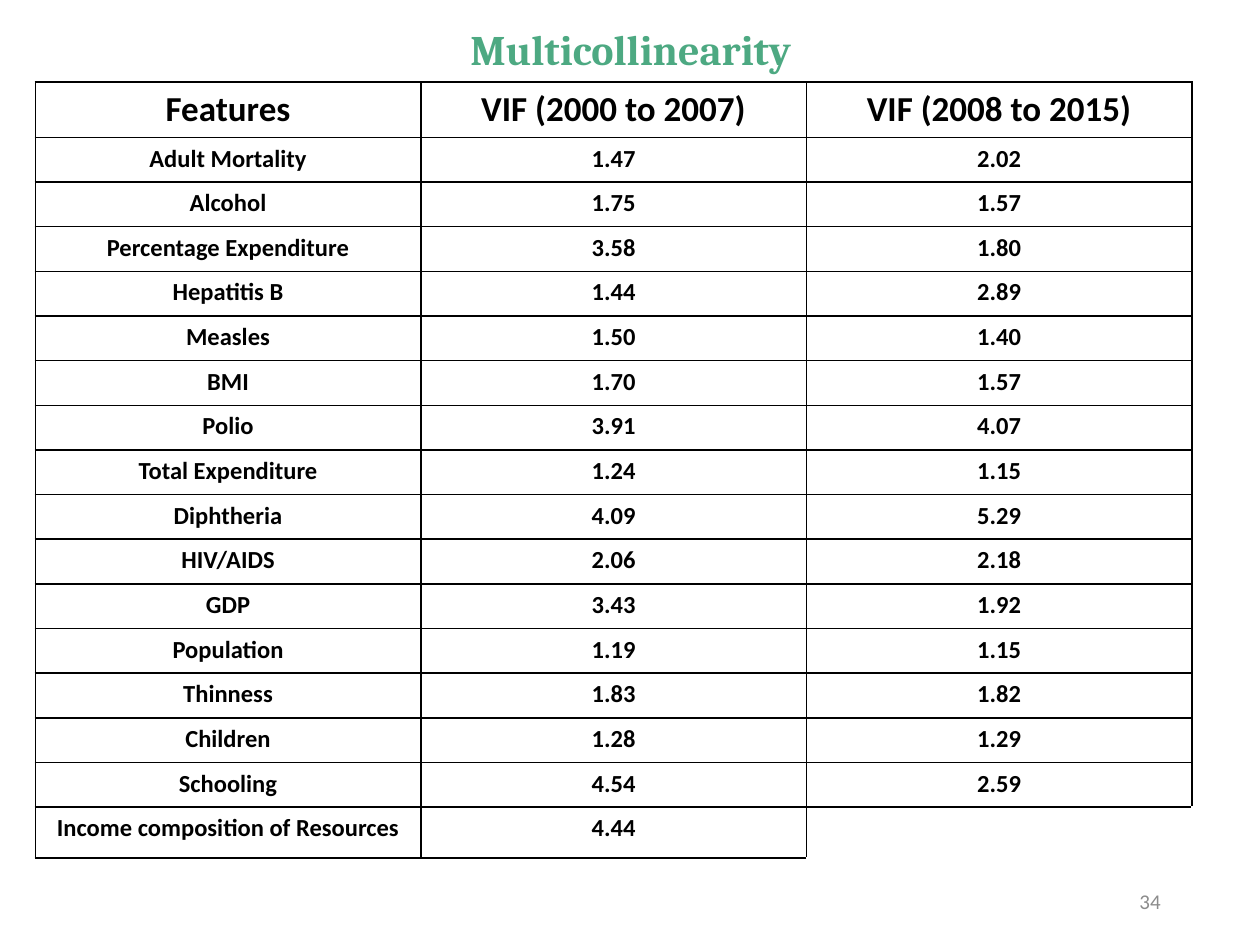
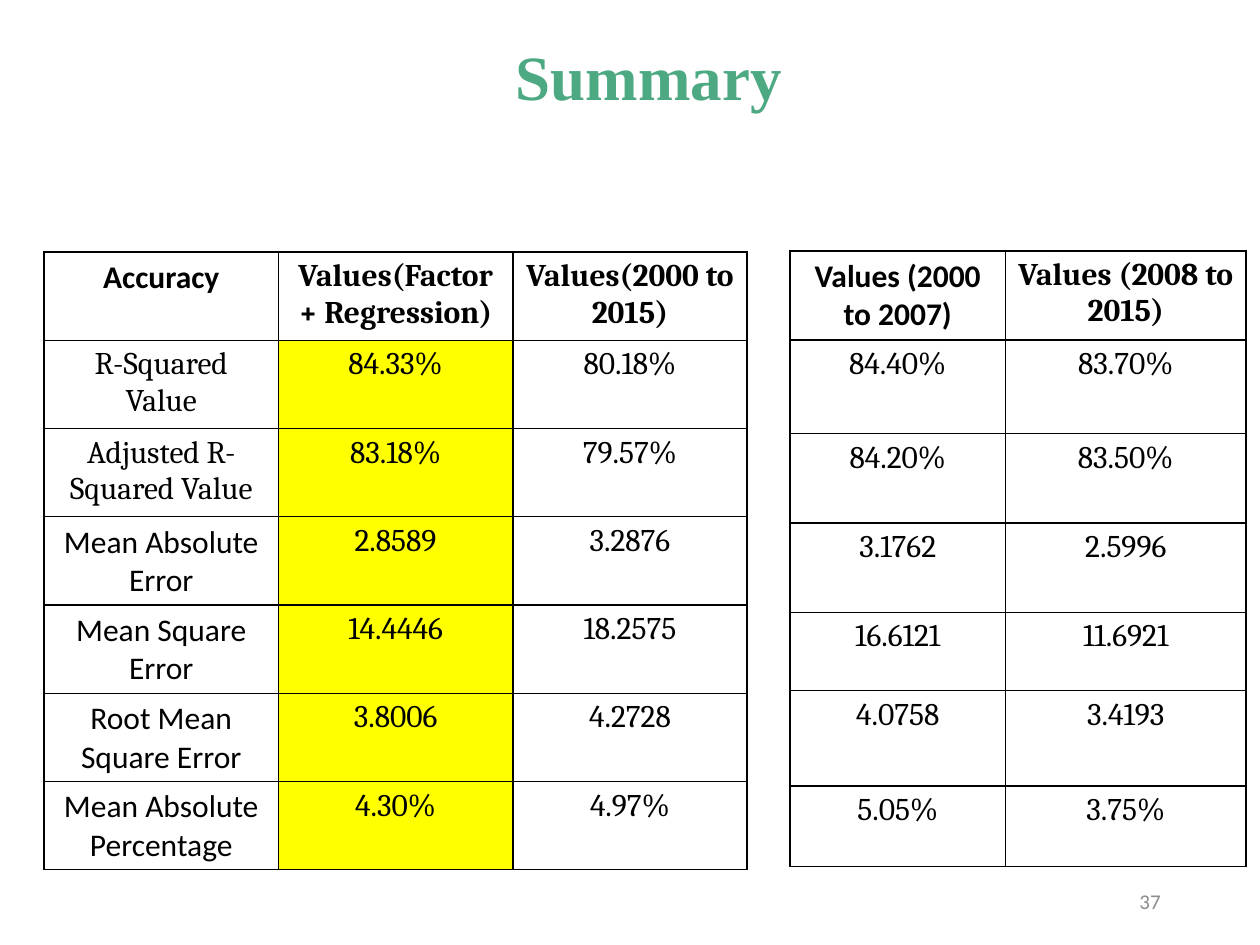
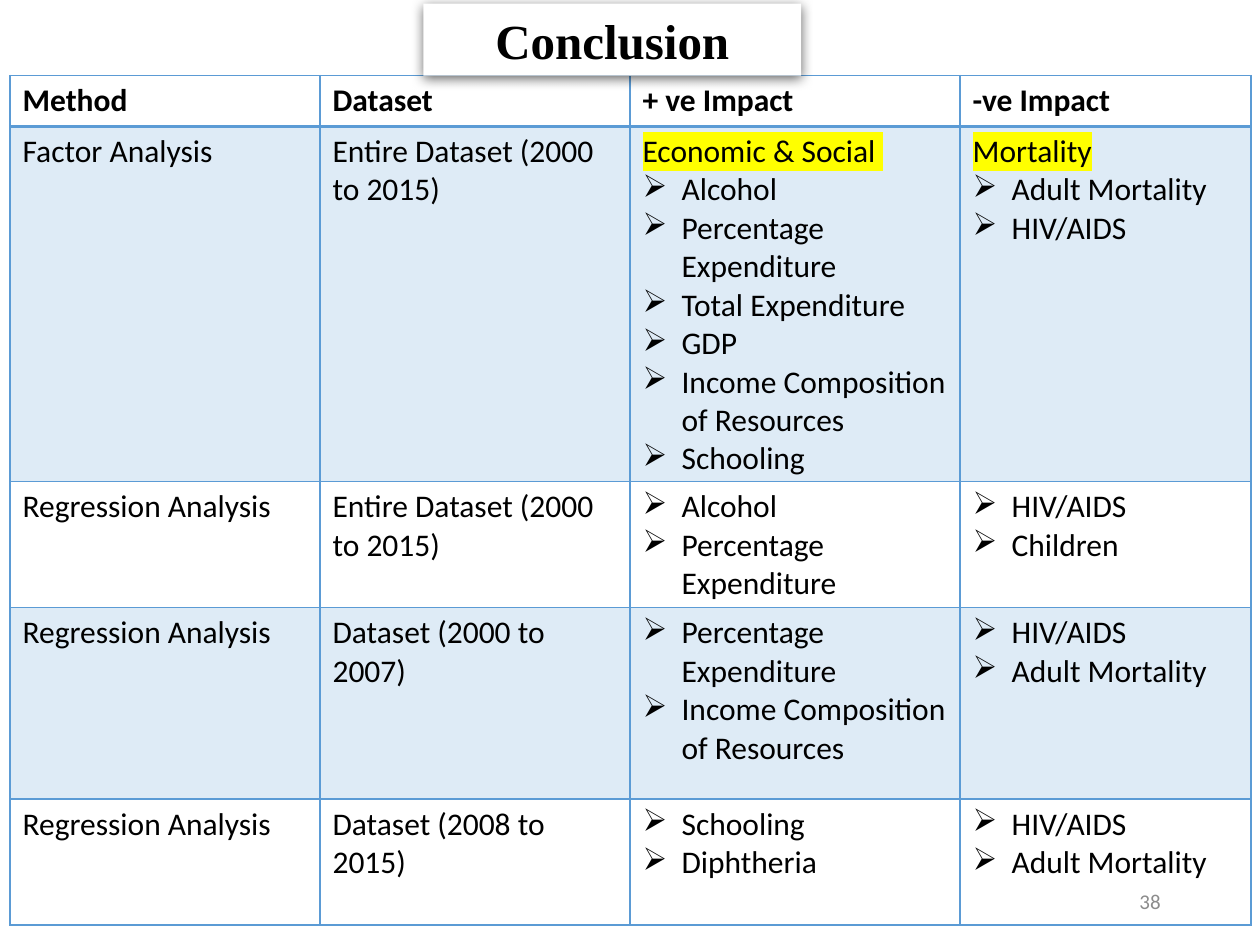
from lxml.etree import SubElement
from pptx import Presentation
from pptx.dml.color import RGBColor
from pptx.enum.shapes import MSO_SHAPE
from pptx.enum.text import MSO_ANCHOR, PP_ALIGN
from pptx.oxml.ns import qn
from pptx.util import Inches, Pt

BLACK = RGBColor(0x00, 0x00, 0x00)
WHITE = RGBColor(0xFF, 0xFF, 0xFF)
GREEN = RGBColor(0x4D, 0xA9, 0x82)
GRAY = RGBColor(0x8C, 0x8C, 0x8C)
BLUE = RGBColor(0x5B, 0x9B, 0xD5)
YELLOW = RGBColor(0xFF, 0xFF, 0x00)

BODY, SERIF, TIMES = "Calibri", "Cambria", "Times New Roman"
MARK = "➢"
PAGE_BOX = (7.06, 6.95, 2.25, 0.4)

# Slide data
VIF = [
    ("Features", "VIF (2000 to 2007)", "VIF (2008 to 2015)"),
    ("Adult Mortality", "1.47", "2.02"),
    ("Alcohol", "1.75", "1.57"),
    ("Percentage Expenditure", "3.58", "1.80"),
    ("Hepatitis B", "1.44", "2.89"),
    ("Measles", "1.50", "1.40"),
    ("BMI", "1.70", "1.57"),
    ("Polio", "3.91", "4.07"),
    ("Total Expenditure", "1.24", "1.15"),
    ("Diphtheria", "4.09", "5.29"),
    ("HIV/AIDS", "2.06", "2.18"),
    ("GDP", "3.43", "1.92"),
    ("Population", "1.19", "1.15"),
    ("Thinness", "1.83", "1.82"),
    ("Children", "1.28", "1.29"),
    ("Schooling", "4.54", "2.59"),
    ("Income composition of Resources", "4.44", ""),
]
SCORES = [
    ("Accuracy", "Values(Factor + Regression)", "Values(2000 to 2015)"),
    ("R-Squared Value", "84.33%", "80.18%"),
    ("Adjusted R-Squared Value", "83.18%", "79.57%"),
    ("Mean Absolute Error", "2.8589", "3.2876"),
    ("Mean Square Error", "14.4446", "18.2575"),
    ("Root Mean Square Error", "3.8006", "4.2728"),
    ("Mean Absolute Percentage", "4.30%", "4.97%"),
]
PERIODS = [
    ("Values (2000 to 2007)", "Values (2008 to 2015)"),
    ("84.40%", "83.70%"),
    ("84.20%", "83.50%"),
    ("3.1762", "2.5996"),
    ("16.6121", "11.6921"),
    ("4.0758", "3.4193"),
    ("5.05%", "3.75%"),
]


def points(*items):
    return [MARK + item for item in items]


IMPACT = [
    ("Method", "Dataset", "+ ve Impact", "-ve Impact"),
    ("Factor Analysis", "Entire Dataset (2000 to 2015)",
     ["Economic & Social "] + points(
         "Alcohol", "Percentage Expenditure", "Total Expenditure", "GDP",
         "Income Composition of Resources", "Schooling"),
     ["Mortality"] + points("Adult Mortality", "HIV/AIDS")),
    ("Regression Analysis", "Entire Dataset (2000 to 2015)",
     points("Alcohol", "Percentage Expenditure"),
     points("HIV/AIDS", "Children")),
    ("Regression Analysis", "Dataset (2000 to 2007)",
     points("Percentage Expenditure", "Income Composition of Resources"),
     points("HIV/AIDS", "Adult Mortality")),
    ("Regression Analysis", "Dataset (2008 to 2015)",
     points("Schooling", "Diphtheria"),
     points("HIV/AIDS", "Adult Mortality")),
]


class Deck:
    def __init__(self):
        self.file = Presentation()
        self.file.slide_width, self.file.slide_height = Inches(10), Inches(7.5)
        self.slide = None

    def page(self, number):
        self.slide = self.file.slides.add_slide(self.file.slide_layouts[6])
        self.number = str(number)

    def footer(self):
        box = self.text(PAGE_BOX, self.number, GRAY, PP_ALIGN.RIGHT,
                        name=BODY, size=Pt(12))
        box.text_frame.vertical_anchor = MSO_ANCHOR.MIDDLE

    def put(self, frame, lines, ink, align, glow=False, **style):
        frame.word_wrap = True
        for i, line in enumerate(lines):
            para = frame.paragraphs[0] if i == 0 else frame.add_paragraph()
            para.alignment = align
            run = para.add_run()
            run.text = line.removeprefix(MARK)
            for key, value in style.items():
                setattr(run.font, key, value)
            run.font.color.rgb = ink
            if line.startswith(MARK):
                self.bullet(para)
            elif glow:
                self.glow(run)

    def bullet(self, para):
        props = para._p.get_or_add_pPr()
        props.set("marL", str(Inches(0.31)))
        props.set("indent", str(-Inches(0.31)))
        SubElement(props, qn("a:buChar"), char=MARK)

    def glow(self, run):
        props = run._r.get_or_add_rPr()
        tint = SubElement(props, qn("a:highlight"))
        SubElement(tint, qn("a:srgbClr"), val=str(YELLOW))
        props.find(qn("a:solidFill")).addnext(tint)

    def text(self, at, words, ink=GREEN, align=PP_ALIGN.CENTER, **style):
        box = self.slide.shapes.add_textbox(*map(Inches, at))
        self.put(box.text_frame, [words], ink, align, **style)
        return box

    def plate(self, at, words, **style):
        box = self.slide.shapes.add_shape(MSO_SHAPE.RECTANGLE,
                                          *map(Inches, at))
        box.fill.solid()
        box.fill.fore_color.rgb = WHITE
        box.line.fill.background()
        box.shadow.inherit = False
        effects = box._element.spPr.find(qn("a:effectLst"))
        shade = SubElement(effects, qn("a:outerShdw"),
                           blurRad=str(Inches(0.1)), dist=str(Inches(0.02)),
                           dir="5400000", algn="ctr", rotWithShape="0")
        color = SubElement(shade, qn("a:srgbClr"), val=str(BLACK))
        SubElement(color, qn("a:alpha"), val="60000")
        self.put(box.text_frame, [words], BLACK, PP_ALIGN.CENTER, **style)

    def edges(self, cell, ink, sides):
        props = cell._tc.get_or_add_tcPr()
        for side, width in sides.items():
            line = SubElement(props, qn("a:ln" + side), w=str(Pt(width)))
            fill = SubElement(line, qn("a:solidFill"))
            SubElement(fill, qn("a:srgbClr"), val=str(ink))

    def paint(self, cell, color, alpha=None):
        cell.fill.solid()
        cell.fill.fore_color.rgb = color
        if alpha:
            tone = cell._tc.tcPr.find(qn("a:solidFill"))[0]
            SubElement(tone, qn("a:alpha"), val=str(alpha * 1000))

    def grid(self, at, cols, rows, data, look, edge=BLACK,
             align=PP_ALIGN.CENTER):
        """look(row, col) gives the font style, fill and border changes."""
        table = self.slide.shapes.add_table(
            len(rows), len(cols), *map(Inches, (*at, sum(cols), sum(rows)))
        ).table
        table.first_row = table.horz_banding = False
        for col, width in zip(table.columns, cols):
            col.width = Inches(width)
        for row, height in zip(table.rows, rows):
            row.height = Inches(height)
        for r, line in enumerate(data):
            for c, words in enumerate(line):
                cell = table.cell(r, c)
                style, fill, sides = look(r, c)
                self.edges(cell, edge, sides)
                self.paint(cell, *fill)
                if words:
                    lines = [words] if isinstance(words, str) else words
                    glow = len(lines) > 1 and not lines[0].startswith(MARK)
                    self.put(cell.text_frame, lines, BLACK, align,
                             glow, **style)


THIN = dict(L=1, R=1, T=1, B=1)


def vif_look(r, c):
    style = dict(name=BODY, size=Pt(14 if r else 20), bold=True)
    open_end = (r, c) == (len(VIF) - 1, 2)
    return style, (WHITE,), dict(L=1, T=1) if open_end else THIN


def score_look(r, c):
    plain = c == 0 and r not in (1, 2)
    style = dict(name=BODY if plain else SERIF, size=Pt(18), bold=r == 0)
    return style, (YELLOW if r and c == 1 else WHITE,), THIN


def period_look(r, c):
    style = dict(name=SERIF if r or c else BODY, size=Pt(18), bold=r == 0)
    return style, (WHITE,), THIN


def impact_look(r, c):
    style = dict(name=BODY, size=Pt(18), bold=r == 0)
    sides = THIN | {0: dict(B=2), 1: dict(T=2)}.get(r, {})
    return style, (BLUE, 20) if r % 2 else (WHITE,), sides


def main():
    deck = Deck()

    # Multicollinearity
    deck.page(34)
    head, count = 0.43, len(VIF) - 1
    rows = [head] + [(6.1 - head) / count] * count
    deck.grid((0.28, 0.65), [3.06] * 3, rows, VIF, vif_look)
    deck.text((2.05, 0.14, 5.91, 0.5), "Multicollinearity",
              name=SERIF, size=Pt(24), bold=True)
    deck.footer()

    # Summary
    deck.page(37)
    deck.text((2.96, 0.25, 4.38, 0.71), "Summary",
              name=TIMES, size=Pt(36), bold=True)
    deck.grid((0.35, 2), [1.86] * 3, [0.7] * 7, SCORES, score_look)
    deck.grid((6.27, 1.99), [1.71, 1.91],
              [0.71, 0.74, 0.71, 0.71, 0.62, 0.76, 0.64],
              PERIODS, period_look)
    deck.footer()

    # Conclusion
    deck.page(38)
    deck.grid((0.08, 0.6), [2.46, 2.46, 2.62, 2.31],
              [0.4, 2.82, 1, 1.52, 1], IMPACT, impact_look,
              BLUE, PP_ALIGN.LEFT)
    deck.plate((3.36, 0.03, 3, 0.57), "Conclusion",
               name=TIMES, size=Pt(28), bold=True)
    deck.footer()

    deck.file.save("out.pptx")


if __name__ == "__main__":
    main()
